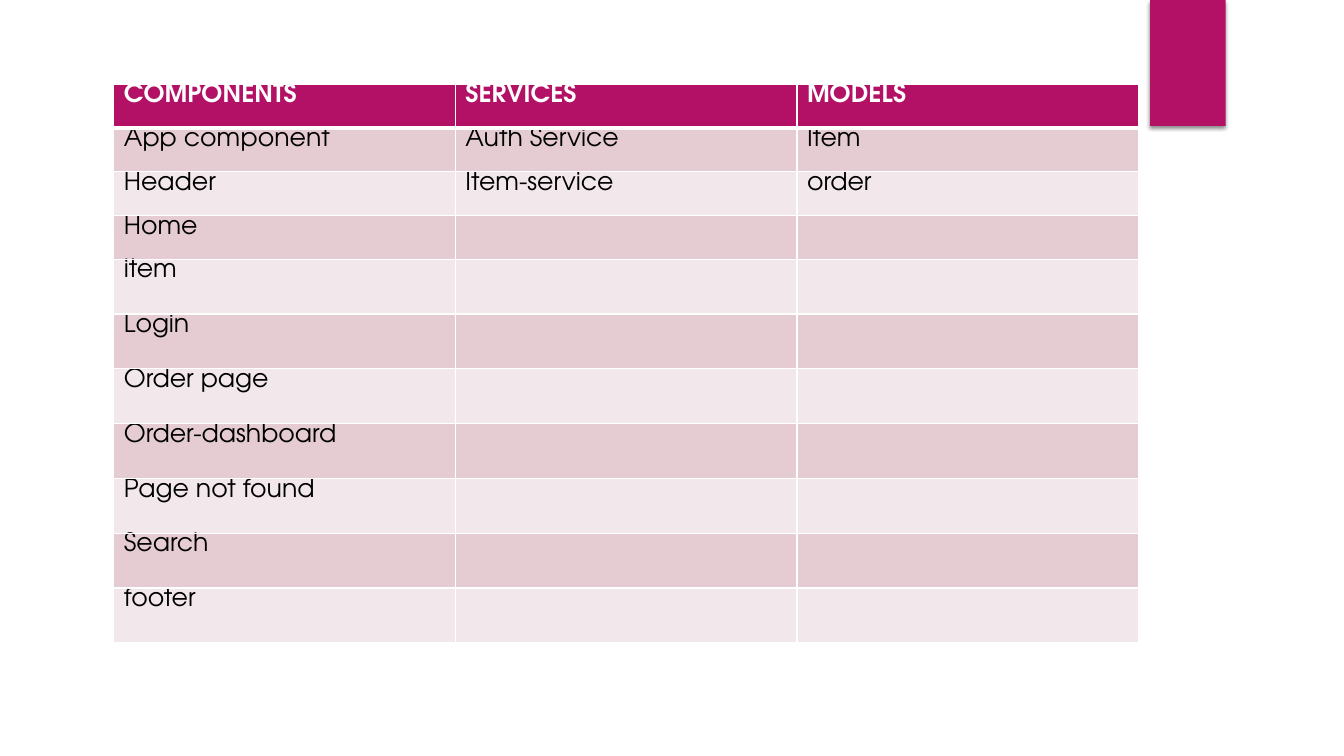
from dataclasses import dataclass

from lxml import etree
from pptx import Presentation
from pptx import util as u
from pptx.dml.color import RGBColor
from pptx.enum import shapes, text
from pptx.oxml import ns


@dataclass(frozen=True)
class Theme:
    accent: str = "B31166"
    band_dark: str = "E5CCD3"
    band_light: str = "F2E7EA"
    white: str = "FFFFFF"
    black: str = "000000"
    font: str = "TeX Gyre Adventor"
    size: float = 18
    rule: float = 1
    header_rule: float = 3


@dataclass(frozen=True)
class Row:
    labels: tuple[str, ...]
    height: float
    fill: str
    color: str
    bold: bool = False
    bottom_rule: float = 1


THEME = Theme()
SHORT, TALL = 31.3, 39.15
COLUMN_WIDTH = 244
COLUMNS = ("COMPONENTS", "SERVICES", "MODELS")
ENTRIES = (
    ("App component", "Auth Service", "Item"),
    ("Header", "Item-service", "order"),
    ("Home",),
    ("item",),
    ("Login",),
    ("Order page",),
    ("Order-dashboard",),
    ("Page not found",),
    ("Search",),
    ("footer",),
)


def add_child(parent, tag: str, **attributes):
    values = {name: str(value) for name, value in attributes.items()}
    return etree.SubElement(parent, ns.qn(tag), values)


def write(frame, words: str, *, color: str, bold: bool = False) -> None:
    para = frame.paragraphs[0]
    para.alignment = text.PP_ALIGN.LEFT
    para.font.size = u.Pt(THEME.size)
    if not words:
        return
    span = para.add_run()
    span.text = words
    span.font.name = THEME.font
    span.font.size = u.Pt(THEME.size)
    span.font.bold = bold
    span.font.color.rgb = RGBColor.from_string(color)


def draw_borders(cell, *, bottom: float) -> None:
    properties = cell._tc.get_or_add_tcPr()
    widths = {"L": THEME.rule, "R": THEME.rule, "T": THEME.rule, "B": bottom}
    for side, width in widths.items():
        line = add_child(properties, f"a:ln{side}", w=u.Pt(width))
        add_child(add_child(line, "a:solidFill"), "a:srgbClr", val=THEME.white)


def draw_ribbon(page) -> None:
    box = page.shapes.add_shape(shapes.MSO_SHAPE.RECTANGLE,
                                u.Pt(821.5), u.Pt(0), u.Pt(54), u.Pt(90))
    box.fill.solid()
    box.fill.fore_color.rgb = RGBColor.from_string(THEME.accent)
    box.line.fill.background()
    box.shadow.inherit = False
    effects = box._element.spPr.find(ns.qn("a:effectLst"))
    shadow = add_child(effects, "a:outerShdw", blurRad=u.Pt(3), dist=u.Pt(2),
                       dir=90 * 60000, rotWithShape=0)
    color = add_child(shadow, "a:srgbClr", val=THEME.black)
    add_child(color, "a:alpha", val=45000)


def draw_table(page, rows: list[Row]) -> None:
    total = sum(row.height for row in rows)
    table = page.shapes.add_table(
        len(rows), len(COLUMNS), u.Pt(81.3), u.Pt(60),
        u.Pt(COLUMN_WIDTH * len(COLUMNS)), u.Pt(total)).table
    for column in table.columns:
        column.width = u.Pt(COLUMN_WIDTH)
    for index, row in enumerate(rows):
        table.rows[index].height = u.Pt(row.height)
        for position in range(len(COLUMNS)):
            cell = table.cell(index, position)
            draw_borders(cell, bottom=row.bottom_rule)
            cell.fill.solid()
            cell.fill.fore_color.rgb = RGBColor.from_string(row.fill)
            cell.margin_left = cell.margin_right = u.Pt(7.2)
            cell.margin_top = cell.margin_bottom = u.Pt(0)
            cell.vertical_anchor = text.MSO_ANCHOR.TOP
            words = row.labels[position] if position < len(row.labels) else ""
            write(cell.text_frame, words, color=row.color, bold=row.bold)


def main() -> None:
    deck = Presentation()
    deck.slide_width, deck.slide_height = u.Pt(960), u.Pt(540)
    page = deck.slides.add_slide(deck.slide_layouts[6])

    # Corner ribbon
    draw_ribbon(page)

    # Header row, then banded rows; the first three entries are shorter
    rows = [Row(COLUMNS, SHORT, THEME.accent, THEME.white, True, THEME.header_rule)]
    for index, labels in enumerate(ENTRIES):
        fill = THEME.band_light if index % 2 else THEME.band_dark
        rows.append(Row(labels, SHORT if index < 3 else TALL, fill, THEME.black))
    draw_table(page, rows)

    deck.save("out.pptx")


if __name__ == "__main__":
    main()
